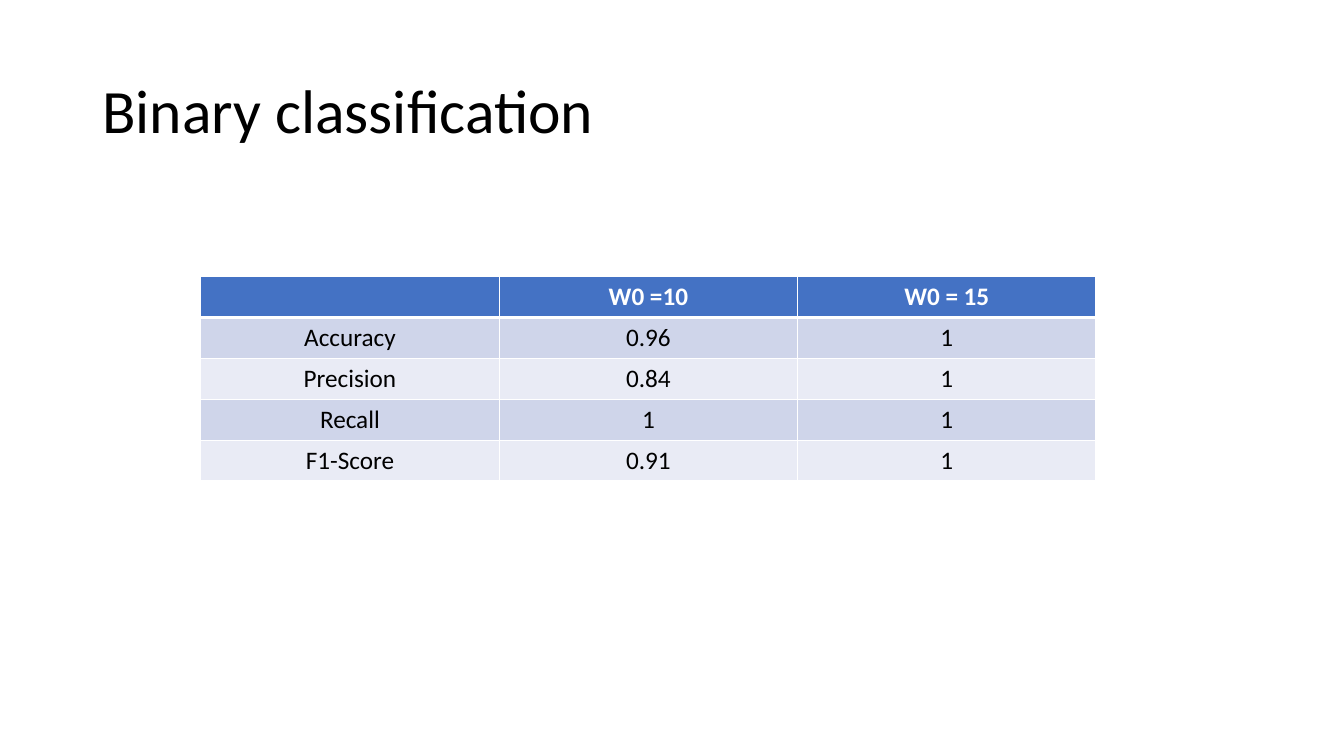
from dataclasses import dataclass

from lxml.etree import SubElement
from pptx import Presentation
from pptx.dml.color import RGBColor
from pptx.enum.text import MSO_ANCHOR as Anchor, PP_ALIGN as Align
from pptx.oxml.ns import qn
from pptx.slide import Slide
from pptx.table import _Cell as Cell
from pptx.text.text import TextFrame
from pptx.util import Cm, Pt

BLACK = RGBColor(0x00, 0x00, 0x00)
WHITE = RGBColor(0xFF, 0xFF, 0xFF)
HEADER_BLUE = RGBColor(0x44, 0x72, 0xC4)
BAND_DARK = RGBColor(0xCF, 0xD5, 0xEA)
BAND_LIGHT = RGBColor(0xE9, 0xEB, 0xF5)
FONT = "Calibri"
COLUMN_WIDTH = Cm(7.52)
ROW_HEIGHT = Cm(1.03)
THIN, THICK = 1, 3


@dataclass(frozen=True)
class ScoreRow:
    texts: tuple[str, str, str]
    fill: RGBColor
    color: RGBColor = BLACK
    bold: bool = False
    top: int = THIN
    bottom: int = THIN


SCORES = (
    ScoreRow(("", "W0 =10", "W0 = 15"), HEADER_BLUE, WHITE, bold=True, bottom=THICK),
    ScoreRow(("Accuracy", "0.96", "1"), BAND_DARK, top=THICK),
    ScoreRow(("Precision", "0.84", "1"), BAND_LIGHT),
    ScoreRow(("Recall", "1", "1"), BAND_DARK),
    ScoreRow(("F1-Score", "0.91", "1"), BAND_LIGHT),
)


def write_text(frame: TextFrame, text: str, *, size: int, color: RGBColor = BLACK,
               bold: bool = False, align: Align = Align.LEFT,
               line_spacing: float = 1.0) -> None:
    paragraph = frame.paragraphs[0]
    paragraph.alignment = align
    paragraph.line_spacing = line_spacing
    if not text:
        return
    run = paragraph.add_run()
    run.text = text
    run.font.name = FONT
    run.font.size = Pt(size)
    run.font.bold = bold
    run.font.color.rgb = color


def set_borders(cell: Cell, top: int, bottom: int) -> None:
    properties = cell._tc.get_or_add_tcPr()
    widths = {"a:lnL": THIN, "a:lnR": THIN, "a:lnT": top, "a:lnB": bottom}
    for tag, width in widths.items():
        line = SubElement(properties, qn(tag), w=str(Pt(width)))
        solid = SubElement(line, qn("a:solidFill"))
        SubElement(solid, qn("a:srgbClr"), val=str(WHITE))


def add_title(slide: Slide, text: str) -> None:
    box = slide.shapes.add_textbox(Cm(2.33), Cm(1.01), Cm(29.21), Cm(3.68))
    box.text_frame.word_wrap = True
    box.text_frame.vertical_anchor = Anchor.MIDDLE
    write_text(box.text_frame, text, size=44, line_spacing=0.9)


def add_score_table(slide: Slide, rows: tuple[ScoreRow, ...]) -> None:
    column_count = len(rows[0].texts)
    table = slide.shapes.add_table(
        len(rows), column_count, Cm(5.06), Cm(6.97),
        COLUMN_WIDTH * column_count, ROW_HEIGHT * len(rows)).table
    for column in table.columns:
        column.width = COLUMN_WIDTH
    for table_row, row in zip(table.rows, rows):
        table_row.height = ROW_HEIGHT
        for cell, text in zip(table_row.cells, row.texts):
            # Borders come before the fill in the cell properties
            set_borders(cell, row.top, row.bottom)
            cell.fill.solid()
            cell.fill.fore_color.rgb = row.fill
            write_text(cell.text_frame, text, size=18, color=row.color,
                       bold=row.bold, align=Align.CENTER)


def main() -> None:
    presentation = Presentation()
    presentation.slide_width = Cm(33.87)
    presentation.slide_height = Cm(19.05)
    slide = presentation.slides.add_slide(presentation.slide_layouts[6])

    # Heading
    add_title(slide, "Binary classification")

    # Scores for both values of W0
    add_score_table(slide, SCORES)

    presentation.save("out.pptx")


if __name__ == "__main__":
    main()
